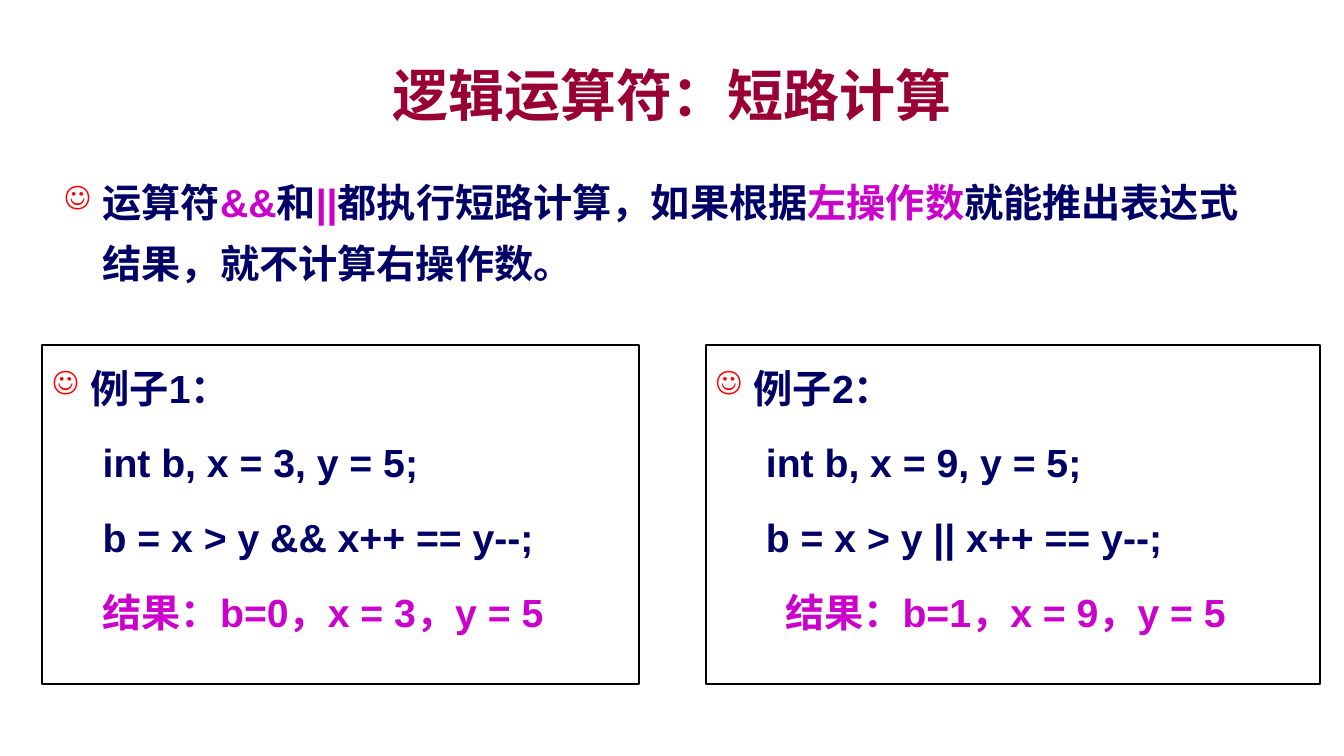
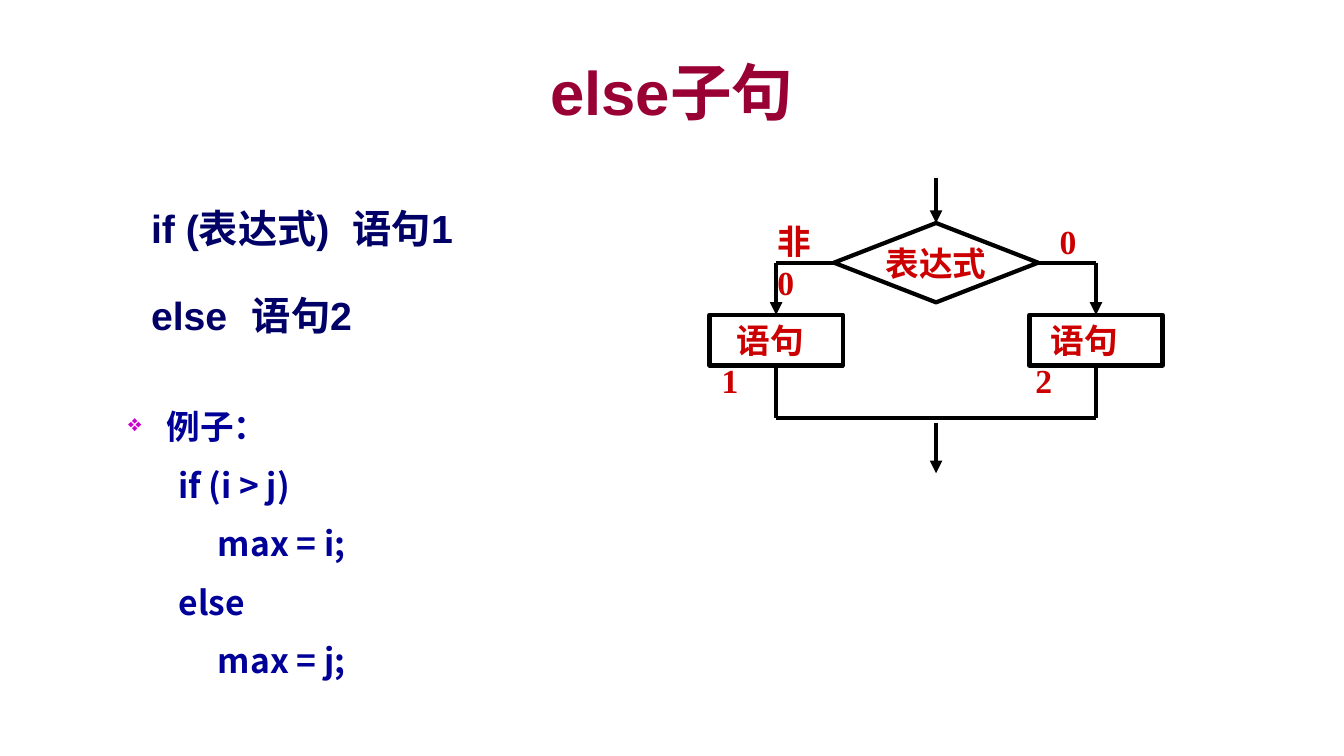
from lxml import etree
from pptx import Presentation, util as u
from pptx.dml.color import RGBColor
from pptx.enum import shapes, text
from pptx.oxml.ns import qn

WIDE, HIGH = u.Inches(13.33), u.Inches(7.5)
SANS, HAN, SERIF = "Arial", "Noto Sans CJK SC", "Times New Roman"
WINE, NAVY, BLUE, PINK = "990033", "000066", "000099", "CC00CC"
RED, CARD, BLACK, WHITE = "FF0000", "CC0000", "000000", "FFFFFF"
SMILE, GEM = ("☺", RED, 80), ("❖", PINK, 70)
LEFT, MID = text.PP_ALIGN.LEFT, text.PP_ALIGN.CENTER
KIND = shapes.MSO_SHAPE


def tint(code):
    return RGBColor.from_string(code)


def px(share):
    return round(WIDE * share / 100)


def py(share):
    return round(HIGH * share / 100)


def place(x, y, w, h):
    """Turn percentages of the slide into a position and a size."""
    return px(x), py(y), px(w), py(h)


def add(node, tag, **attrs):
    return etree.SubElement(node, qn(tag), attrs)


def write(frame, *parts, size=28, font=SANS, color=NAVY, align=LEFT,
          line=None, gap=0, left=0, first=0, mark=None, tab=None):
    """Add one paragraph; a part is a string or a (string, colour) pair."""
    para = frame.paragraphs[0]
    if para.runs:
        para = frame.add_paragraph()
    para.alignment = align
    if line:
        para.line_spacing = line
    para.space_before = u.Pt(gap)
    props = para._p.get_or_add_pPr()
    props.set("marL", str(u.Inches(left)))
    props.set("indent", str(u.Inches(first)))
    if mark:
        sign, hue, share = mark
        add(add(props, "a:buClr"), "a:srgbClr", val=hue)
        add(props, "a:buSzPct", val=str(share * 1000))
        add(props, "a:buChar", char=sign)
    else:
        add(props, "a:buNone")
    if tab:
        add(add(props, "a:tabLst"), "a:tab", pos=str(u.Inches(tab)), algn="l")
    for part in parts:
        words, hue = (part, color) if isinstance(part, str) else part
        run = para.add_run()
        run.text = words
        run.font.size, run.font.bold = u.Pt(size), True
        run.font.name = font
        run.font.color.rgb = tint(hue)
        add(run._r.get_or_add_rPr(), "a:ea", typeface=HAN)


def panel(slide, *box, wrap=True):
    frame = slide.shapes.add_textbox(*place(*box)).text_frame
    frame.word_wrap = wrap
    return frame


def block(slide, kind, *box, width=3, fill=None):
    shape = slide.shapes.add_shape(kind, *place(*box))
    shape.shadow.inherit = False
    if fill:
        shape.fill.solid()
        shape.fill.fore_color.rgb = tint(fill)
    else:
        shape.fill.background()
    shape.line.color.rgb = tint(BLACK)
    shape.line.width = u.Pt(width)
    return shape


def link(slide, start, end, arrow=False, head=None, tail=None):
    """Draw a line; head and tail are (shape, side) pairs to join."""
    (x, y), (xx, yy) = start, end
    line = slide.shapes.add_connector(
        shapes.MSO_CONNECTOR.STRAIGHT, px(x), py(y), px(xx), py(yy))
    if head:
        line.begin_connect(*head)
    if tail:
        line.end_connect(*tail)
    line.line.color.rgb = tint(BLACK)
    line.line.width = u.Pt(3)
    if arrow:
        add(line.line._get_or_add_ln(), "a:tailEnd", type="triangle")
    add(line._element.spPr, "a:effectLst")


def title(slide, words, *box, **form):
    frame = panel(slide, *box)
    frame.vertical_anchor = text.MSO_ANCHOR.MIDDLE
    write(frame, words, color=WINE, align=MID, **form)


def sample(slide, box, number, code, result, inset):
    """Framed example: heading, code lines and the result."""
    frame = block(slide, KIND.RECTANGLE, *box, width=1.5).text_frame
    frame.word_wrap = True
    frame.vertical_anchor = text.MSO_ANCHOR.TOP
    form = dict(line=1.3, gap=9.8)
    write(frame, f"例子{number}：", left=0.38, first=-0.38, mark=SMILE, **form)
    for row in code:
        write(frame, row, left=0.5, **form)
    write(frame, result, color=PINK, left=inset, **form)


def syntax(slide, *box):
    frame = panel(slide, *box)
    for start, end, tab in (("if (表达式)", "语句1", 2.26),
                            ("else", "语句2", 2.04)):
        write(frame, f"{start}\t{end}", line=1.5, gap=12, tab=tab)


def listing(slide, *box):
    frame = panel(slide, *box)
    form = dict(size=24, font=HAN, color=BLUE, line=1.2, gap=7.2)
    write(frame, "例子：", left=0.38, first=-0.38, mark=GEM, **form)
    for row, inset in (("if (i > j)", 0.5), ("max = i;", 0.89),
                       ("else", 0.5), ("max = j;", 0.89)):
        write(frame, row, left=inset, **form)


def flow(slide, x, y, w, h):
    """Flow chart of a two-way branch inside the given box."""
    form = dict(size=24, font=SERIF, color=CARD)
    mid, turn, join = x + w / 2, y + 11.25, y + 31.75
    wide, tall, top = 9.9, 6.7, y + 18.15
    test = block(slide, KIND.FLOWCHART_DECISION,
                 mid - 7.6, y + 6, 15.2, 10.5, fill=WHITE)
    frame = test.text_frame
    frame.word_wrap = False
    frame.vertical_anchor = text.MSO_ANCHOR.MIDDLE
    write(frame, "表达式", align=MID, **form)
    link(slide, (mid, y), (mid, y + 6), arrow=True, tail=(test, 0))

    branches = ((x, 1, mid - 7.6, "1", 0.15),
                (x + w - wide, 3, mid + 7.6, "2", -0.3))
    for edge, side, tip, number, shift in branches:
        axis = edge + wide / 2
        step = block(slide, KIND.FLOWCHART_PROCESS, edge, top, wide, tall)
        link(slide, (tip, turn), (axis, turn), head=(test, side))
        link(slide, (axis, turn), (axis, top), arrow=True, tail=(step, 0))
        link(slide, (axis, top + tall), (axis, join), head=(step, 2))
        frame = panel(slide, edge + shift, top, 9, tall)
        write(frame, "语句", first=0.15, **form)
        write(frame, number, **form)
    link(slide, (x + wide / 2, join), (x + w - wide / 2, join))
    link(slide, (mid, y + 32.4), (mid, y + h), arrow=True)

    for shift, rows in ((4.3, "非0"), (25.3, "0")):
        frame = panel(slide, x + shift, y + 5.1, 5.3, tall)
        for row in rows:
            write(frame, row, **form)


def logic(slide):
    title(slide, "逻辑运算符：短路计算", 15, 7.1, 70, 10.8, size=40, font=HAN)
    write(panel(slide, 4.05, 21.1, 89.4, 16.7),
          "运算符", ("&&", PINK), "和", ("||", PINK),
          "都执行短路计算，如果根据", ("左操作数", PINK),
          "就能推出表达式结果，就不计算右操作数。",
          line=1.3, gap=9.8, left=0.38, first=-0.38, mark=SMILE)
    sample(slide, (3.15, 45.6, 44.4, 44.9), 1,
           ("int b, x = 3, y = 5;", "b = x > y && x++ == y--;"),
           "结果：b=0，x = 3，y = 5", 0.5)
    sample(slide, (52.5, 45.6, 45.7, 44.9), 2,
           ("int b, x = 9, y = 5;", "b = x > y || x++ == y--;"),
           "结果：b=1，x = 9，y = 5", 0.69)


def clause(slide):
    title(slide, "else子句", 3.3, 3.7, 93.4, 16.7, size=44)
    syntax(slide, 10.5, 23.2, 37.1, 25.2)
    flow(slide, 52.8, 23.5, 33.7, 39.1)
    listing(slide, 8.8, 52, 44.8, 44.1)


def main():
    deck = Presentation()
    deck.slide_width, deck.slide_height = WIDE, HIGH
    for fill in (logic, clause):
        fill(deck.slides.add_slide(deck.slide_layouts[6]))
    deck.save("out.pptx")


if __name__ == "__main__":
    main()
